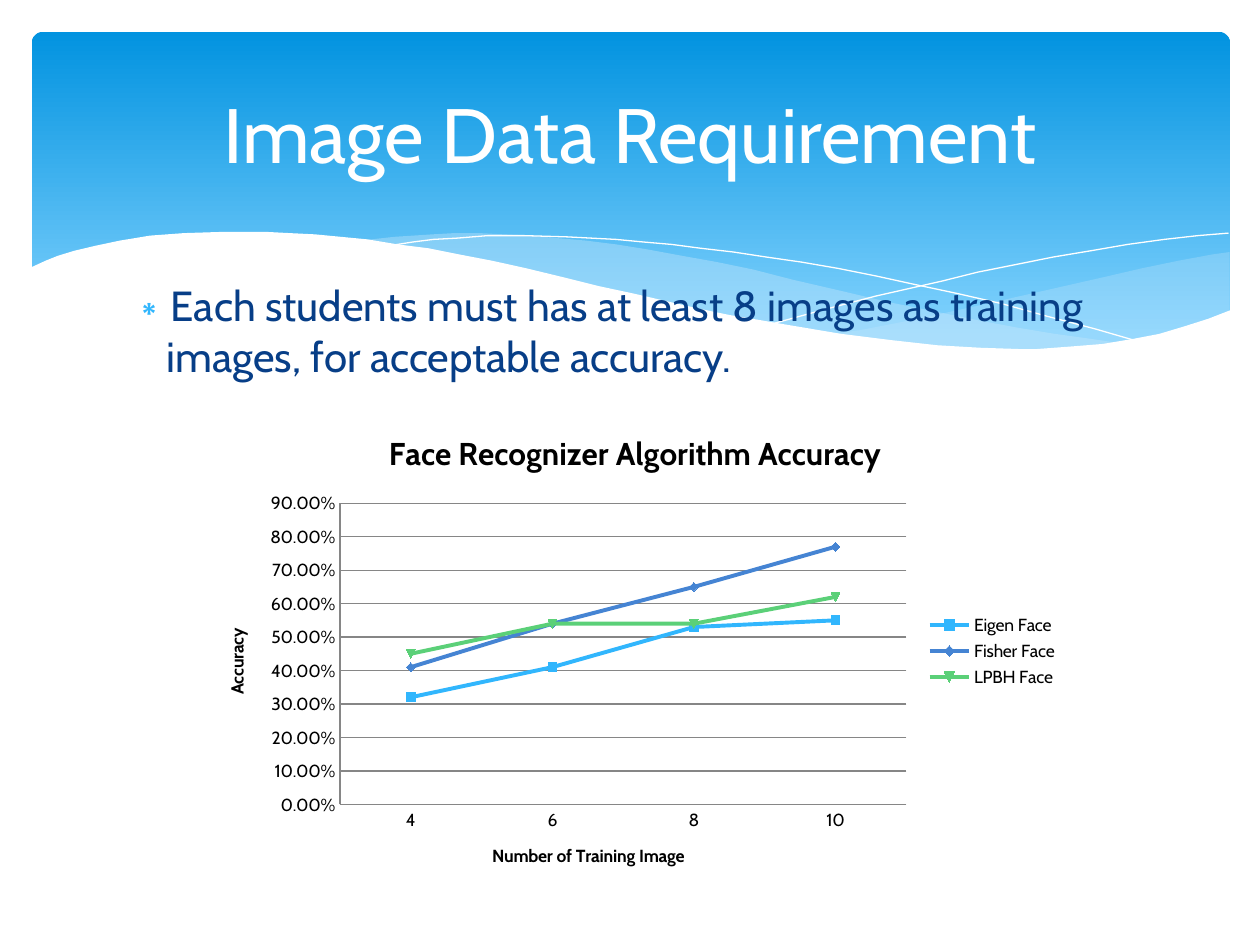
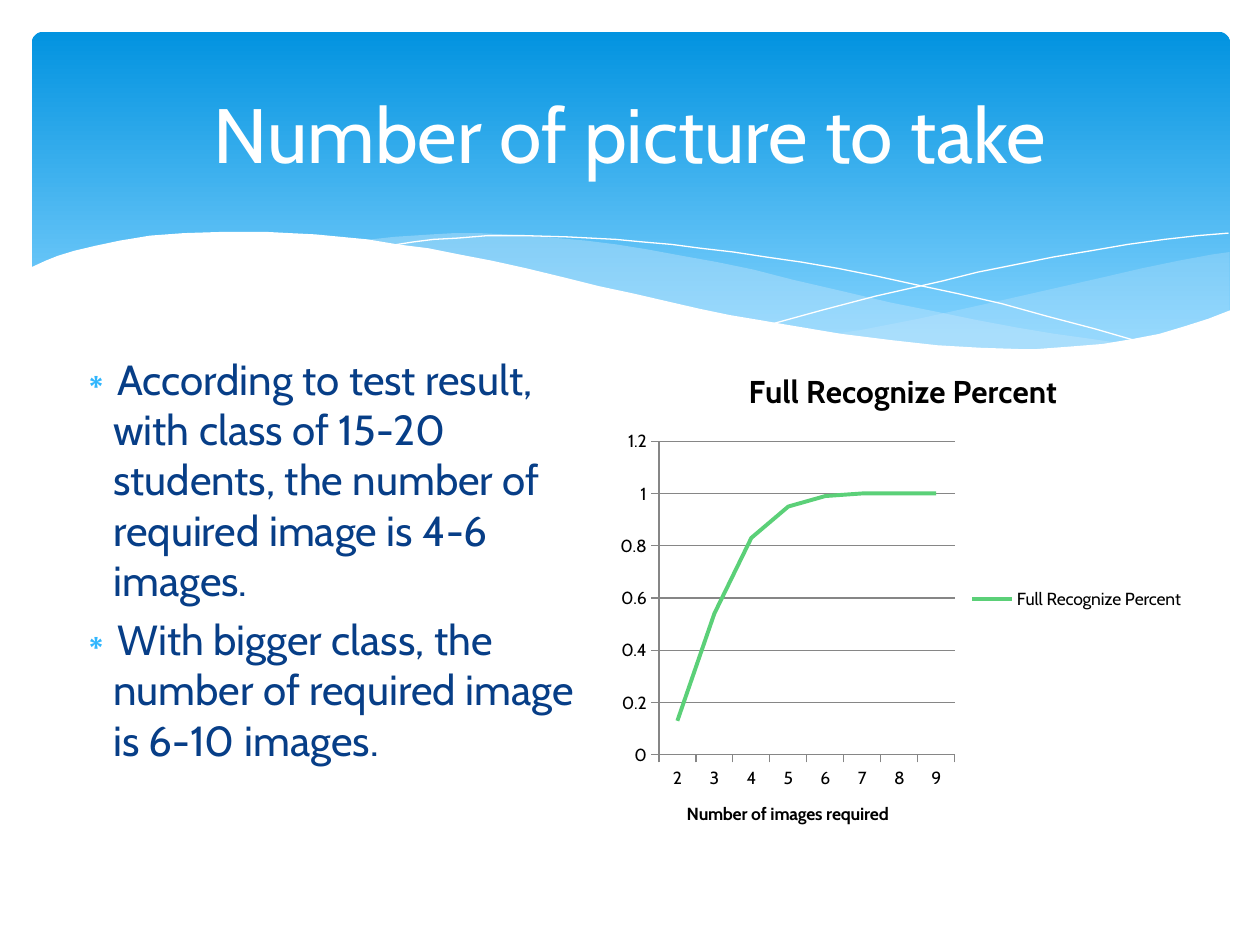
from pptx import Presentation
from pptx.chart.data import CategoryChartData
from pptx.dml.color import RGBColor
from pptx.enum.chart import XL_CHART_TYPE, XL_LEGEND_POSITION, XL_TICK_MARK
from pptx.enum.shapes import MSO_SHAPE
from pptx.enum.text import MSO_AUTO_SIZE
from pptx.oxml.ns import qn
from pptx.util import Cm, Pt
from lxml.etree import SubElement

FONT = "Cabin"
WHITE = RGBColor(0xFF, 0xFF, 0xFF)
BLACK = RGBColor(0, 0, 0)
NAVY = RGBColor(0x07, 0x3E, 0x87)
DEEP = RGBColor(0x02, 0x93, 0xE0)
LIGHT = RGBColor(0x83, 0xD3, 0xFE)
PALE = RGBColor(0xC6, 0xE7, 0xFC)
SKY = RGBColor(0x31, 0xB6, 0xFD)
BLUE = RGBColor(0x45, 0x84, 0xD3)
GREEN = RGBColor(0x5B, 0xD0, 0x78)
GREY = RGBColor(0x86, 0x86, 0x86)

# Wave outlines, in hundredths of an inch
UNIT = Cm(2.54) / 100
RIGHT = [
    (976, 200), (962, 202), (935, 207), (906, 213), (876, 220), (832, 230),
    (779, 242), (729, 253), (683, 262), (661, 265), (691, 269), (719, 272),
    (745, 275), (769, 277), (803, 278), (824, 277), (854, 276), (881, 273),
    (905, 269), (928, 263), (949, 257), (963, 252), (976, 247)]
MID = [
    (893, 273), (866, 269), (837, 265), (807, 260), (775, 254), (741, 247),
    (706, 240), (668, 231), (629, 222), (598, 214), (569, 208), (541, 203),
    (514, 198), (489, 194), (465, 191), (442, 189), (420, 187), (399, 186),
    (380, 185), (361, 185), (344, 186), (313, 188), (286, 191), (323, 196),
    (362, 203), (404, 211), (449, 222), (491, 232), (530, 240), (566, 248),
    (601, 255), (634, 261), (665, 266), (695, 270), (722, 274), (748, 276),
    (773, 277), (796, 278), (828, 278), (857, 277), (876, 275), (893, 273)]
FALL = [
    (309, 195), (328, 192), (344, 190), (363, 189), (387, 187), (416, 187),
    (450, 188), (489, 190), (510, 192), (533, 194), (556, 197), (582, 200),
    (608, 204), (636, 208), (665, 213), (695, 219), (727, 226), (760, 233),
    (795, 241), (831, 251), (869, 261), (907, 272)]
RISE = [
    (613, 257), (653, 246), (695, 235), (748, 223), (776, 216), (806, 210),
    (836, 204), (866, 199), (895, 194), (924, 190), (951, 187), (975, 185)]
FRONT = [
    (977, 246), (959, 253), (940, 259), (920, 265), (899, 269), (875, 273),
    (850, 275), (823, 277), (809, 277), (778, 276), (744, 274), (708, 270),
    (668, 265), (626, 258), (603, 254), (579, 250), (555, 245), (529, 239),
    (503, 233), (475, 227), (447, 220), (418, 213), (391, 207), (365, 202),
    (340, 197), (316, 194), (292, 190), (271, 188), (250, 186), (230, 185),
    (211, 184), (177, 184), (146, 185), (119, 187), (95, 191), (76, 195),
    (59, 199), (46, 203), (36, 207), (23, 213), (23, 329), (977, 329)]

# points, fill, opacity in percent (no fill means a hairline)
WAVES = [(RIGHT, PALE, 29), (MID, PALE, 40), (FALL, None, 0),
         (RISE, None, 0), (FRONT, WHITE, 100)]

# Places are left, top, width, height in cm
PAGES = [
    dict(title="Image Data Requirement",
         list=["Each students must has at least 8 images as training images, "
               "for acceptable accuracy."],
         body=(2.34, 5.51, 20.57, 11.3), place=(4.01, 8.26, 17.58, 9.73),
         kind=XL_CHART_TYPE.LINE_MARKERS, head="Face Recognizer Algorithm Accuracy",
         cats=["4", "6", "8", "10"],
         rows=[("Eigen Face", (0.32, 0.41, 0.53, 0.55), SKY),
               ("Fisher Face", (0.41, 0.54, 0.65, 0.77), BLUE),
               ("LPBH Face", (0.45, 0.54, 0.54, 0.62), GREEN)],
         names=("Number of Training Image", "Accuracy"),
         form="0.00%", top=0.9, step=0.1, tick=XL_TICK_MARK.NONE),
    dict(title="Number of picture to take",
         list=["According to test result, with class of 15-20 students, "
               "the number of required image is 4-6 images.",
               "With bigger class, the number of required image is 6-10 images."],
         body=(1.27, 6.99, 11, 9.58), place=(12.27, 6.99, 11.86, 10.16),
         kind=XL_CHART_TYPE.LINE, head="Full Recognize Percent",
         cats=[str(n) for n in range(2, 10)],
         rows=[("Full Recognize Percent",
                (0.13, 0.54, 0.83, 0.95, 0.99, 1, 1, 1), GREEN)],
         names=("Number of images required", None),
         form="General", top=1.2, step=0.2, tick=XL_TICK_MARK.OUTSIDE),
]


def style(frame, size, color, bold=None):
    for para in frame.paragraphs:
        for run in para.runs:
            font = run.font
            font.name, font.size, font.bold = FONT, Pt(size), bold
            font.color.rgb = color


def put(shape, place):
    shape.left, shape.top, shape.width, shape.height = map(Cm, place)


deck = Presentation()
deck.slide_width, deck.slide_height = Cm(25.4), Cm(19.05)
slides = [deck.slides.add_slide(deck.slide_layouts[1]) for page in PAGES]

# Band and waves: drawn on a slide, then moved to the master
draw = slides[0].shapes
band = draw.add_shape(MSO_SHAPE.ROUNDED_RECTANGLE,
                      Cm(0.64), Cm(0.64), Cm(24.16), Cm(6.86))
band.adjustments[0] = 0.034
band.fill.gradient()
band.fill.gradient_angle = 270
for stop, color, spot in zip(band.fill.gradient_stops, (DEEP, LIGHT), (0, 0.9)):
    stop.color.rgb, stop.position = color, spot
band.line.fill.background()
decor = [band]
for points, color, alpha in WAVES:
    pen = draw.build_freeform(*points[0], scale=UNIT)
    pen.add_line_segments(points[1:], close=color is not None)
    wave = pen.convert_to_shape()
    if color is None:
        wave.fill.background()
        wave.line.color.rgb = WHITE
        wave.line.width = Pt(0)
    else:
        wave.fill.solid()
        wave.fill.fore_color.rgb = color
        wave.line.fill.background()
        tint = wave.element.spPr.find(qn("a:solidFill"))[0]
        SubElement(tint, qn("a:alpha"), val=str(alpha * 1000))
    decor.append(wave)
tree = deck.slide_master.element.cSld.spTree
for i, shape in enumerate(decor):
    shape.shadow.inherit = False
    shape.element.nvSpPr.cNvPr.set("id", str(20 + i))
    tree.insert(2 + i, shape.element)

for slide, page in zip(slides, PAGES):
    title, body = slide.placeholders
    put(title, (1.27, 0.94, 22.86, 3.48))
    title.text_frame.text = page["title"]
    style(title.text_frame, 44, WHITE)

    put(body, page["body"])
    frame = body.text_frame
    frame.text = "\n".join(page["list"])
    frame.auto_size = MSO_AUTO_SIZE.NONE
    style(frame, 24, NAVY)
    for para in frame.paragraphs:
        props = para._p.get_or_add_pPr()
        props.set("marL", str(Cm(0.76)))
        props.set("indent", str(-Cm(0.76)))
        tint = SubElement(props, qn("a:buClr"))
        SubElement(tint, qn("a:srgbClr"), val=str(SKY))
        SubElement(props, qn("a:buChar"), char="∗")

    data = CategoryChartData()
    data.categories = page["cats"]
    for name, vals, color in page["rows"]:
        data.add_series(name, vals)
    chart = slide.shapes.add_chart(page["kind"], *map(Cm, page["place"]), data).chart
    chart.font.name, chart.font.size = FONT, Pt(10)
    chart.font.color.rgb = BLACK
    chart.has_title = True
    chart.chart_title.text_frame.text = page["head"]
    style(chart.chart_title.text_frame, 18, BLACK, True)
    chart.has_legend = True
    chart.legend.position = XL_LEGEND_POSITION.RIGHT
    chart.legend.include_in_layout = False

    plot = chart.plots[0]
    plot.vary_by_categories = False
    for line, (name, vals, color) in zip(plot.series, page["rows"]):
        line.smooth = False
        line.format.line.color.rgb = color
        line.format.line.width = Pt(2.25)
        if page["kind"] == XL_CHART_TYPE.LINE_MARKERS:
            line.marker.format.fill.solid()
            line.marker.format.fill.fore_color.rgb = color

    scale = chart.value_axis
    scale.minimum_scale, scale.maximum_scale = 0, page["top"]
    scale.major_unit = page["step"]
    scale.tick_labels.number_format = page["form"]
    scale.tick_labels.number_format_is_linked = False
    scale.has_major_gridlines = True
    scale.major_gridlines.format.line.color.rgb = GREY
    for axis, name in zip((chart.category_axis, scale), page["names"]):
        axis.major_tick_mark = page["tick"]
        axis.minor_tick_mark = XL_TICK_MARK.NONE
        axis.format.line.color.rgb = GREY
        axis.has_title = name is not None
        if name:
            axis.axis_title.text_frame.text = name
            style(axis.axis_title.text_frame, 10, BLACK, True)
    if scale.has_title:
        turn = scale.axis_title.element.xpath(".//a:bodyPr")[0]
        turn.set("rot", "-5400000")

deck.save("out.pptx")
